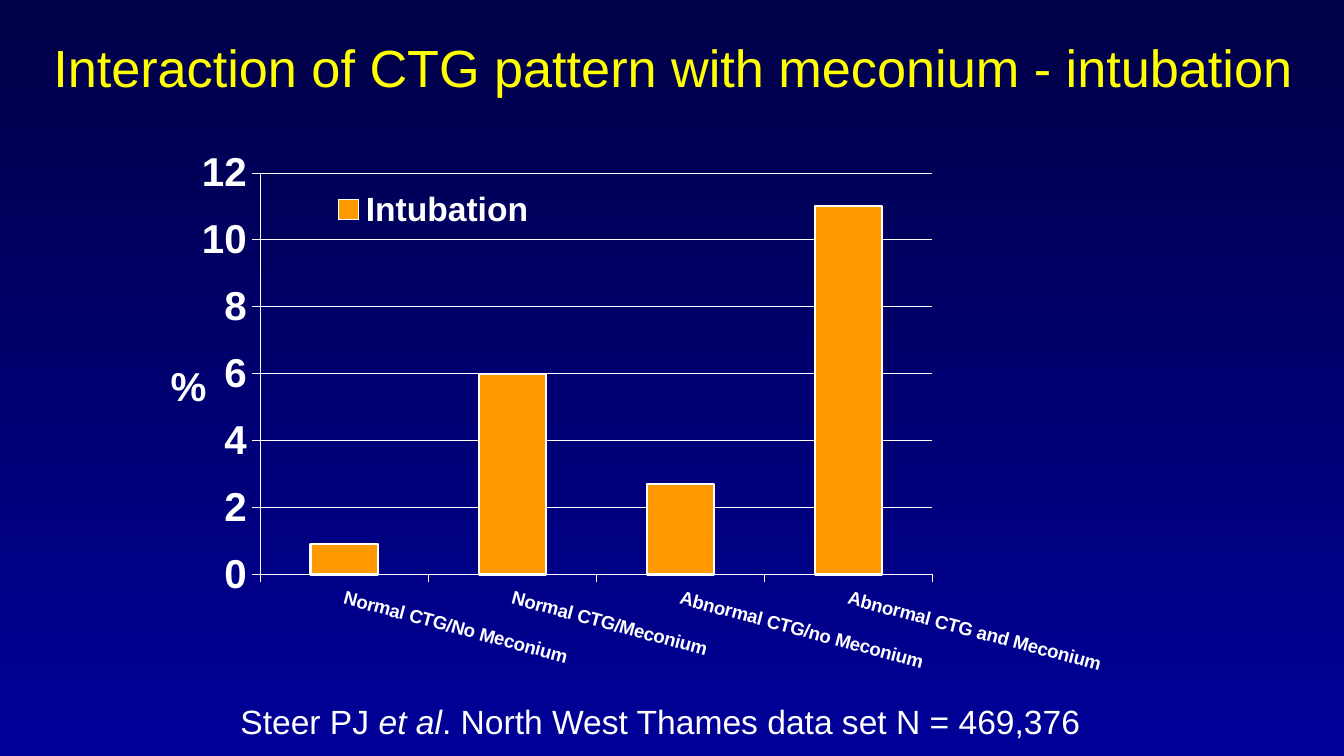
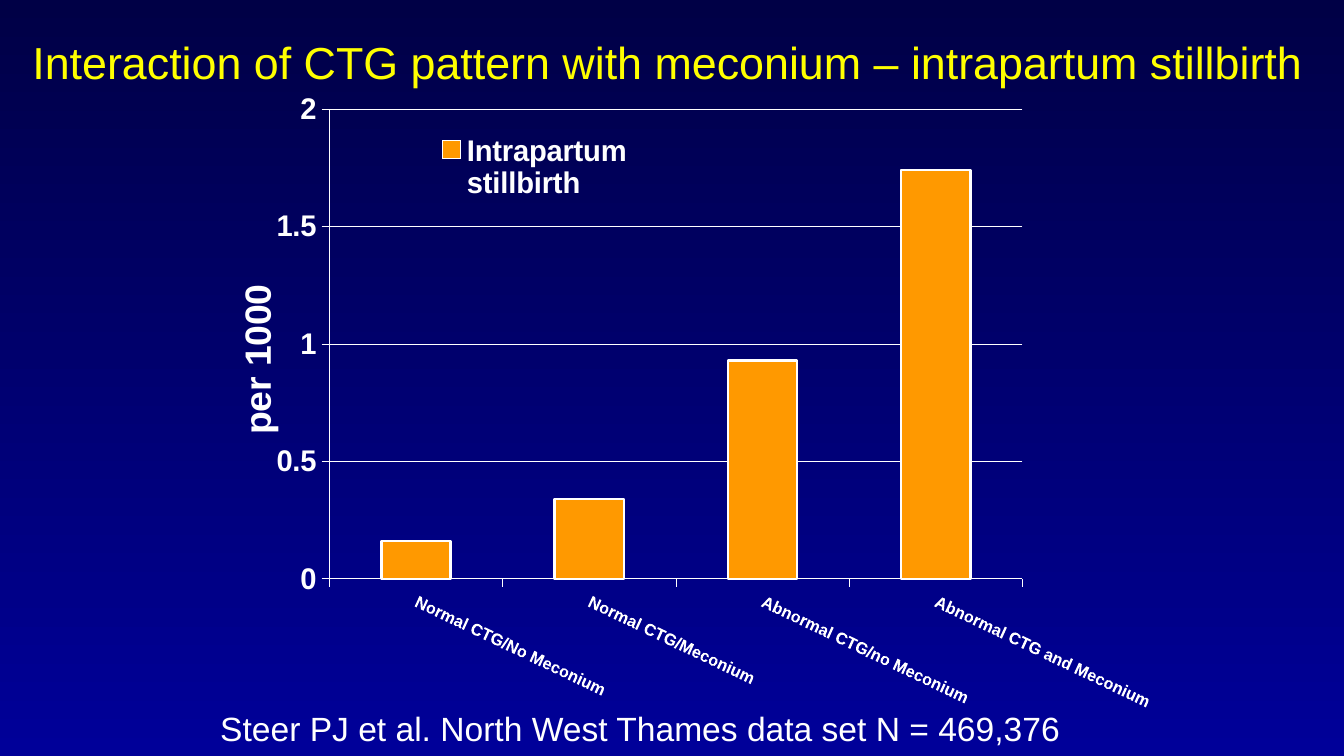
from dataclasses import dataclass

from pptx import Presentation
from pptx.chart.data import CategoryChartData
from pptx.dml.color import RGBColor
from pptx.enum.chart import (XL_CHART_TYPE, XL_LEGEND_POSITION,
                             XL_TICK_LABEL_POSITION, XL_TICK_MARK)
from pptx.enum.text import MSO_ANCHOR, MSO_AUTO_SIZE, PP_ALIGN
from pptx.oxml.ns import qn
from pptx.oxml.xmlchemy import OxmlElement
from pptx.util import Inches, Pt

COLUMN = XL_CHART_TYPE.COLUMN_CLUSTERED
RIGHT = XL_LEGEND_POSITION.RIGHT
LOW = XL_TICK_LABEL_POSITION.LOW
OUT = XL_TICK_MARK.OUTSIDE
NO_TICK = XL_TICK_MARK.NONE
MIDDLE = MSO_ANCHOR.MIDDLE
NO_FIT = MSO_AUTO_SIZE.NONE
GROW = MSO_AUTO_SIZE.SHAPE_TO_FIT_TEXT
CENTER = PP_ALIGN.CENTER

GROUPS = ["Normal CTG/No Meconium", "Normal CTG/Meconium",
          "Abnormal CTG/no Meconium", "Abnormal CTG and Meconium"]


@dataclass(frozen=True)
class Theme:
    font: str = "Arial"
    top: str = "000046"
    base: str = "000099"
    head: str = "FFFF00"
    text: str = "FFFFFF"
    bar: str = "FF9900"
    note: float = 18


def apply(item, style):
    for name, value in style.items():
        setattr(item, name, value)


def place(node, index, box, inner=False):
    """Give a chart part a fixed place, in fractions of the chart."""
    for old in node.findall(qn("c:layout")):
        node.remove(old)
    layout = OxmlElement("c:layout")
    manual = OxmlElement("c:manualLayout")
    layout.append(manual)
    pairs = [("layoutTarget", "inner")] if inner else []
    pairs += [("xMode", "edge"), ("yMode", "edge")]
    pairs += zip("xywh", box)
    for tag, value in pairs:
        part = OxmlElement(f"c:{tag}")
        part.set("val", str(value))
        manual.append(part)
    node.insert(index, layout)


def turn(body, angle):
    """Rotate the text of a chart part, in degrees clockwise."""
    props = body.find(qn("a:bodyPr"))
    props.set("rot", str(angle * 60000))
    props.set("vert", "horz")


class Deck:
    def __init__(self, theme):
        self.theme = theme
        self.prs = Presentation()
        apply(self.prs, {"slide_width": Inches(10),
                         "slide_height": Inches(5.625)})
        # Shared background gradient
        fill = self.prs.slide_master.background.fill
        fill.gradient()
        fill.gradient_angle = 270
        for stop, color in zip(fill.gradient_stops, (theme.top, theme.base)):
            stop.color.rgb = RGBColor.from_string(color)
        self.slide = None

    def type(self, font, size, color, bold=False, italic=False):
        apply(font, {"name": self.theme.font, "size": Pt(size),
                     "bold": bold, "italic": italic})
        font.color.rgb = RGBColor.from_string(color)

    def line(self, line, width):
        line.color.rgb = RGBColor.from_string(self.theme.text)
        line.width = Pt(width)

    def title(self, text, box, size):
        """Start a slide with its title."""
        self.slide = self.prs.slides.add_slide(self.prs.slide_layouts[5])
        shape = self.slide.shapes.title
        apply(shape, dict(zip(("left", "top", "width", "height"),
                              map(Inches, box))))
        frame = shape.text_frame
        apply(frame, {"text": text, "vertical_anchor": MIDDLE,
                      "auto_size": NO_FIT, "word_wrap": True})
        para = frame.paragraphs[0]
        para.alignment = CENTER
        self.type(para.runs[0].font, size, self.theme.head)

    def note(self, parts, box):
        """Add a source note; parts are (text, italic) pairs."""
        frame = self.slide.shapes.add_textbox(*map(Inches, box)).text_frame
        apply(frame, {"word_wrap": True, "auto_size": GROW})
        for text, italic in parts:
            run = frame.paragraphs[0].add_run()
            run.text = text
            self.type(run.font, self.theme.note, self.theme.text,
                      italic=italic)

    def chart(self, name, values, box, plot, key, unit, scale, sizes, lines,
              slant):
        """Column chart; unit is (text, place, angle), scale (max, step),
        sizes (groups, ticks, unit, key), lines (axis, bar)."""
        color = self.theme.text
        small, ticks, label, legend = sizes
        thin, edge = lines
        data = CategoryChartData()
        data.categories = GROUPS
        data.add_series(name, values)
        chart = self.slide.shapes.add_chart(
            COLUMN, *map(Inches, box), data).chart
        apply(chart, {"has_title": False, "has_legend": True})
        self.type(chart.font, ticks, color, True)
        place(chart._chartSpace.chart.plotArea, 0, plot, True)

        # Bars
        bars = chart.plots[0]
        apply(bars, {"gap_width": 150, "vary_by_categories": False})
        form = bars.series[0].format
        form.fill.solid()
        form.fill.fore_color.rgb = RGBColor.from_string(self.theme.bar)
        self.line(form.line, edge)

        # Axes
        groups, rates = chart.category_axis, chart.value_axis
        for axis, size in ((groups, small), (rates, ticks)):
            apply(axis, {"major_tick_mark": OUT, "minor_tick_mark": NO_TICK})
            self.type(axis.tick_labels.font, size, color, True)
            self.line(axis.format.line, thin)
        groups.tick_label_position = LOW
        turn(groups._element.find(qn("c:txPr")), slant)
        top, step = scale
        apply(rates, {"minimum_scale": 0, "maximum_scale": top,
                      "major_unit": step, "has_major_gridlines": True,
                      "has_title": True})
        self.line(rates.major_gridlines.format.line, thin)

        # Unit on the value axis
        text, spot, angle = unit
        frame = rates.axis_title.text_frame
        frame.text = text
        self.type(frame.paragraphs[0].runs[0].font, label, color, True)
        turn(frame._txBody, angle)
        place(rates.axis_title._element, 1, spot)

        # Legend
        apply(chart.legend, {"position": RIGHT, "include_in_layout": False})
        self.type(chart.legend.font, legend, color, True)
        place(chart.legend._element, 1, key)


def main():
    deck = Deck(Theme())

    # Intubation
    deck.title("Interaction of CTG pattern with meconium - intubation",
               (0.2, 0.15, 9.61, 0.69), 28)
    deck.note([("Steer PJ ", False), ("et al", True),
               (". North West Thames data set N = 469,376", False)],
              (1.69, 5.17, 6.85, 0.4))
    deck.chart("Intubation", (0.9, 6, 2.7, 11),
               box=(1.14, 1.08, 7.58, 3.97), plot=(0.105, 0.052, 0.66, 0.753),
               key=(0.15, 0.07, 0.25, 0.1), unit=("%", (0.01, 0.39), 0),
               scale=(12, 2), sizes=(10, 21.6, 21.6, 18), lines=(0.3, 1.2),
               slant=15)

    # Intrapartum stillbirth
    deck.title("Interaction of CTG pattern with meconium – "
               "intrapartum stillbirth", (0.12, 0.15, 9.69, 0.61), 24)
    deck.chart("Intrapartum stillbirth", (0.16, 0.34, 0.93, 1.74),
               box=(1.69, 0.29, 6.89, 5.01), plot=(0.113, 0.104, 0.766, 0.698),
               key=(0.23, 0.13, 0.22, 0.12),
               unit=("per 1000", (0, 0.35), -90),
               scale=(2, 0.5), sizes=(9, 16, 20, 16), lines=(0.35, 1.41),
               slant=25)
    deck.note([("Steer PJ et al. North West Thames data set N = 469,376",
                False)], (1.54, 5.22, 6.51, 0.4))

    deck.prs.save("out.pptx")


if __name__ == "__main__":
    main()
